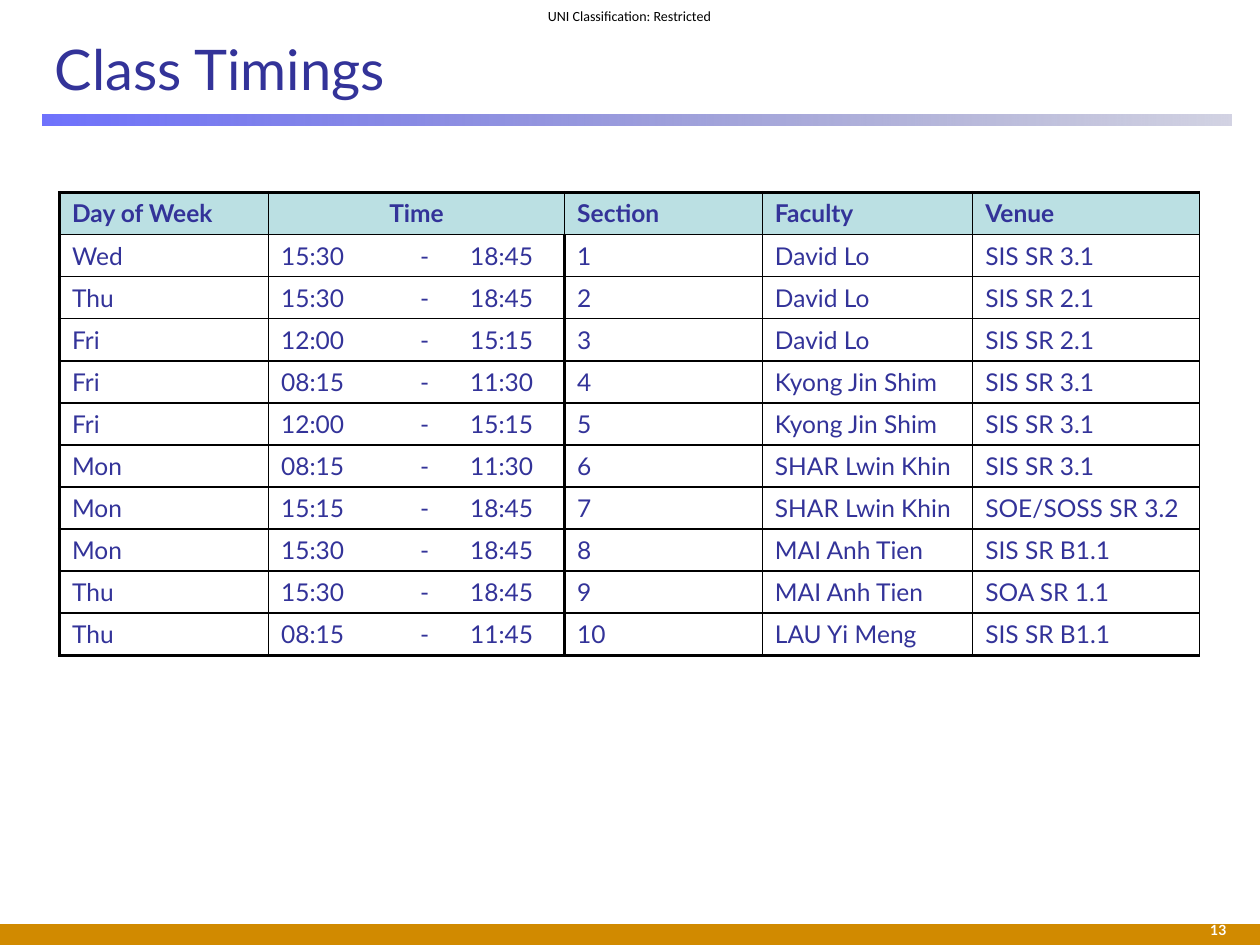
from lxml.etree import SubElement
from pptx import Presentation
from pptx.dml.color import RGBColor
from pptx.enum.shapes import MSO_SHAPE
from pptx.enum.text import MSO_ANCHOR, MSO_AUTO_SIZE, PP_ALIGN
from pptx.oxml.ns import qn
from pptx.util import Pt

INDIGO = "333399"
HEADER_FILL = "BBE0E3"
THIN, THICK = 1, 2.25
ROW_HEIGHT = 24
COLUMN_WIDTHS = [119.5, 70.5, 37.5, 61.2, 113, 120.2, 129.6]
HEADINGS = ["Day of Week", "Time", "", "", "Section", "Faculty", "Venue"]
CLASSES = [
    ("Wed", "15:30", "18:45", "David Lo", "SIS SR 3.1"),
    ("Thu", "15:30", "18:45", "David Lo", "SIS SR 2.1"),
    ("Fri", "12:00", "15:15", "David Lo", "SIS SR 2.1"),
    ("Fri", "08:15", "11:30", "Kyong Jin Shim", "SIS SR 3.1"),
    ("Fri", "12:00", "15:15", "Kyong Jin Shim", "SIS SR 3.1"),
    ("Mon", "08:15", "11:30", "SHAR Lwin Khin", "SIS SR 3.1"),
    ("Mon", "15:15", "18:45", "SHAR Lwin Khin", "SOE/SOSS SR 3.2"),
    ("Mon", "15:30", "18:45", "MAI Anh Tien", "SIS SR B1.1"),
    ("Thu", "15:30", "18:45", "MAI Anh Tien", "SOA SR 1.1"),
    ("Thu", "08:15", "11:45", "LAU Yi Meng", "SIS SR B1.1"),
]


def rgb(value):
    """Return the colour for a hex string."""
    return RGBColor.from_string(value)


def add_run(frame, text, size, color, font="Lato", bold=False, align=PP_ALIGN.LEFT):
    """Add a formatted run to the first paragraph of a text frame."""
    paragraph = frame.paragraphs[0]
    paragraph.alignment = align
    run = paragraph.add_run()
    run.text = text
    run.font.name = font
    run.font.size = Pt(size)
    run.font.bold = bold
    run.font.color.rgb = rgb(color)


def add_bar(slide, left, top, width, height):
    """Add a rectangle without outline or shadow and return its fill."""
    bar = slide.shapes.add_shape(
        MSO_SHAPE.RECTANGLE, Pt(left), Pt(top), Pt(width), Pt(height))
    bar.shadow.inherit = False
    bar.line.fill.background()
    return bar.fill


def add_title_rule(slide):
    """Add the fading rule below the title."""
    fill = add_bar(slide, 24.5, 65.5, 679, 6.5)
    fill.gradient()
    fill.gradient_angle = 0
    shades = [("464AFC", 78), ("202275", 20)]
    for stop, (color, opacity) in zip(fill.gradient_stops, shades):
        stop.color.rgb = rgb(color)
    colors = fill._xPr.iter(qn("a:srgbClr"))
    for color, (_, opacity) in zip(colors, shades):
        SubElement(color, qn("a:alpha"), val=str(opacity * 1000))


def add_label(slide, left, top, width, height, margins, anchor):
    """Add a wrapping text box and return its text frame."""
    frame = slide.shapes.add_textbox(
        Pt(left), Pt(top), Pt(width), Pt(height)).text_frame
    frame.word_wrap = True
    frame.vertical_anchor = anchor
    (frame.margin_left, frame.margin_top,
     frame.margin_right, frame.margin_bottom) = map(Pt, margins)
    return frame


def set_title(slide, text):
    """Place and format the title placeholder."""
    title = slide.shapes.title
    title.left, title.top, title.width, title.height = map(Pt, (24, 12, 678, 54))
    title.text_frame.auto_size = MSO_AUTO_SIZE.NONE
    title.text_frame.vertical_anchor = MSO_ANCHOR.MIDDLE
    add_run(title.text_frame, text, 32, INDIGO)


def set_borders(cell, left, right, top, bottom):
    """Draw the cell's borders in black, leaving out those of width 0."""
    properties = cell._tc.get_or_add_tcPr()
    widths = {"a:lnL": left, "a:lnR": right, "a:lnT": top, "a:lnB": bottom}
    for side, width in widths.items():
        line = SubElement(properties, qn(side), w=str(Pt(width)))
        if width:
            SubElement(SubElement(line, qn("a:solidFill")), qn("a:srgbClr"), val="000000")
        else:
            SubElement(line, qn("a:noFill"))


def border_widths(row, column, last_row):
    """Return left, right, top and bottom border widths for a grid position."""
    left = THICK if column == 0 or (column == 4 and row > 0) else THIN
    right = THICK if column == 3 and row > 0 else THIN
    if column in (2, 3):
        left = 0
    if column in (1, 2):
        right = 0
    return left, right, THICK if row == 0 else THIN, THICK if row == last_row else THIN


def add_timetable(slide):
    """Add the table of classes."""
    rows = [HEADINGS] + [
        [day, start, "-", end, str(section), faculty, venue]
        for section, (day, start, end, faculty, venue) in enumerate(CLASSES, 1)]
    timetable = slide.shapes.add_table(
        len(rows), len(HEADINGS), Pt(34), Pt(110),
        Pt(sum(COLUMN_WIDTHS)), Pt(ROW_HEIGHT * len(rows))).table
    for column, width in zip(timetable.columns, COLUMN_WIDTHS):
        column.width = Pt(width)
    timetable.cell(0, 1).merge(timetable.cell(0, 3))
    for r, texts in enumerate(rows):
        timetable.rows[r].height = Pt(ROW_HEIGHT)
        for c, text in enumerate(texts):
            cell = timetable.cell(r, c)
            set_borders(cell, *border_widths(r, c, len(rows) - 1))
            if r == 0:
                cell.fill.solid()
                cell.fill.fore_color.rgb = rgb(HEADER_FILL)
            else:
                cell.fill.background()
            if text:
                align = PP_ALIGN.CENTER if text in ("Time", "-") else PP_ALIGN.LEFT
                add_run(cell.text_frame, text, 14, INDIGO, bold=r == 0, align=align)


def main():
    """Build and save the class timings slide."""
    deck = Presentation()
    deck.slide_width, deck.slide_height = Pt(720), Pt(540)
    slide = deck.slides.add_slide(deck.slide_layouts[5])
    footer = add_bar(slide, 0, 528, 720, 12)
    footer.solid()
    footer.fore_color.rgb = rgb("D18A00")
    add_title_rule(slide)
    classification = add_label(slide, 301, 0, 117.5, 18, (0, 0, 0, 0), MSO_ANCHOR.MIDDLE)
    add_run(classification, "UNI Classification: Restricted", 8, "000000",
            font="Calibri", align=PP_ALIGN.CENTER)
    page_number = add_label(slide, 606, 515, 102, 24, (7.2, 13.2, 7.2, 0), MSO_ANCHOR.TOP)
    add_run(page_number, "13", 8, "FFFFFF", bold=True, align=PP_ALIGN.RIGHT)
    set_title(slide, "Class Timings")
    add_timetable(slide)
    deck.save("out.pptx")


if __name__ == "__main__":
    main()
